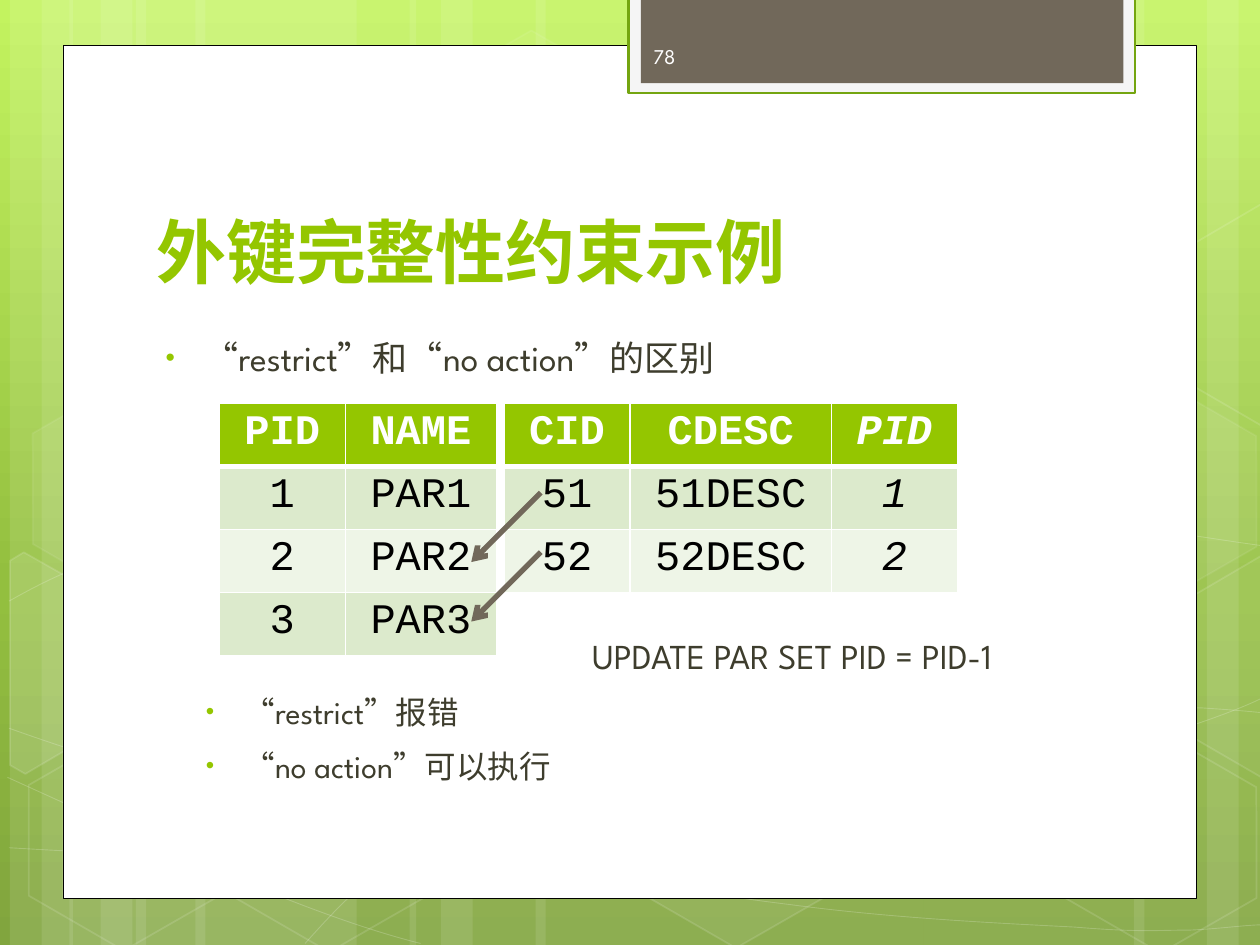
"""Build the slide on foreign key constraints."""
from copy import deepcopy
from dataclasses import dataclass
from math import cos, radians, sin

from lxml import etree
from pptx import Presentation
from pptx.dml.color import RGBColor
from pptx.enum.shapes import MSO_CONNECTOR, MSO_SHAPE
from pptx.enum.text import MSO_ANCHOR, PP_ALIGN
from pptx.oxml import parse_xml
from pptx.oxml.ns import nsdecls, qn
from pptx.util import Cm, Pt

RECT, HEX = MSO_SHAPE.RECTANGLE, MSO_SHAPE.HEXAGON
STRAIGHT = MSO_CONNECTOR.STRAIGHT
TOP, MIDDLE, BOTTOM = MSO_ANCHOR.TOP, MSO_ANCHOR.MIDDLE, MSO_ANCHOR.BOTTOM
CENTER = PP_ALIGN.CENTER


@dataclass(frozen=True)
class Theme:
    white: str = "FFFFFF"
    black: str = "000000"
    green: str = "94C600"
    edge: str = "74A510"
    slate: str = "71685A"
    pale: str = "F5F5F5"
    ink: str = "3E3D2D"
    page: str = "FEFEFE"
    bands: tuple = ("DCEACC", "EEF5E7")
    sky: tuple = ((0, "C3F35F"), (0.62, "93BF3F"), (1, "81A53E"))
    sans: str = "League Spartan"
    mono: str = "Courier New"
    title: int = 40
    cell: int = 24
    body: int = 20
    sub: int = 18
    small: int = 12


@dataclass
class Hexagon:
    left: float
    top: float
    fill: int
    line: int


@dataclass
class Line:
    text: str
    size: int
    color: str
    bold: bool = False
    indent: float = 0
    hang: float = 0
    gap: float = 0


@dataclass
class Label:
    box: tuple
    lines: tuple
    anchor: object = TOP


@dataclass
class Grid:
    left: float
    widths: tuple
    rows: tuple
    slant: int = -1


T = Theme()
HEXES = (
    Hexagon(8.48, 0.91, 4, 8), Hexagon(12.62, 14.96, 6, 12),
    Hexagon(0.28, 15.01, 0, 12), Hexagon(0.36, 7.92, 7, 8),
    Hexagon(4.42, 15.04, 0, 12), Hexagon(19.13, 11.51, 10, 12),
    Hexagon(21.18, 15.06, 0, 12), Hexagon(21.18, 7.98, 7, 8),
)
STRIPES = ((2.74, 4.45), (0.2, 1.27), (0.84, 2.11), (3.94, 4.45), (1.4, 1.27), (2.03, 2.11),
           (18.62, 4.45), (24.33, 1.27), (22.86, 2.11), (10.8, 7.82), (8.26, 1.27), (8.89, 2.11))
CURVES = (
    ((0.18, 17.09), (1.55, 17.17), (2.92, 17.25), (4.83, 17.22), (6.73, 17.2), (9.09, 17.15),
     (11.63, 16.89), (14.17, 16.64), (17.78, 16.15), (20.12, 15.67), (22.43, 15.19),
     (24.82, 14.43), (25.58, 14)),
    ((0.18, 12.12), (0.91, 11.71), (1.65, 11.33), (3.07, 10.95), (4.52, 10.57), (6.58, 10.01),
     (8.81, 9.83), (11.07, 9.65), (13.82, 9.63), (16.61, 9.83), (19.41, 10.03),
     (24.05, 10.82), (25.58, 11.02)),
    ((0.15, 15.67), (3.23, 17.07), (6.27, 18.47), (8.48, 19.02)),
    ((0.18, 14.68), (0.97, 14.96), (1.78, 15.24), (3.25, 15.65), (4.72, 16.03), (6.93, 16.66),
     (9.07, 17.09), (11.18, 17.53), (13.84, 17.98), (15.95, 18.24), (18.06, 18.52),
     (20.32, 18.62), (21.67, 18.69), (22.99, 18.8), (23.34, 18.75), (24, 18.75),
     (24.66, 18.72), (25.12, 18.64), (25.58, 18.64)),
    ((6.15, 19.02), (6.6, 18.52), (7.06, 18.01), (7.67, 17.55), (8.28, 17.09), (9.14, 16.59),
     (9.86, 16.23), (10.57, 15.88), (11, 15.72), (11.94, 15.47), (12.85, 15.21), (14.55, 14.86),
     (15.44, 14.68), (16.36, 14.5), (16.48, 14.5), (17.27, 14.45), (18.06, 14.38),
     (19.3, 14.3), (20.17, 14.27), (21.64, 14.25), (23.12, 14.27), (24.21, 14.27),
     (24.66, 14.3), (25.1, 14.33), (25.55, 14.38)),
)
LEFT = ((0.2, 11.3), (0.48, 11.13), (2.44, 12.24), (2.41, 14.48), (0.51, 15.6), (0.2, 15.42))
RIGHT = ((23.52, 12.32), (25.43, 11.2), (25.63, 11.33), (25.63, 15.57), (25.45, 15.67), (23.52, 14.55))
HIGH = tuple((x, y - 7.09) for x, y in RIGHT)
SHARDS = ((LEFT, (0.91, 13.59), 10), (RIGHT, (25.02, 13.21), 4), (HIGH, (25.02, 6.12), 0))
LABELS = (
    Label((2.9, 2.84, 19.5, 3.18), (Line("外键完整性约束示例", T.title, T.green, True),), BOTTOM),
    Label((2.88, 6.45, 18.82, 9.75), (
        Line("“restrict”和“no action”的区别", T.body, T.ink, False, 0.97, 0.76, 4),
        Line("UPDATE PAR SET PID = PID-1", T.body, T.ink, False, 8.81, 0, 140),
        Line("“restrict”报错", T.sub, T.ink, False, 1.78, 0.76, 4),
        Line("“no action”可以执行", T.sub, T.ink, False, 1.78, 0.76, 4))),
    Label((12.92, 0.62, 3.7, 1.02), (Line("78", T.small, T.page),), MIDDLE),
)
GRIDS = (
    Grid(4.42, (2.54, 3.05), (("PID", "NAME"), ("1", "PAR1"), ("2", "PAR2"), ("3", "PAR3"))),
    Grid(10.16, (2.54, 4.06, 2.54),
         (("CID", "CDESC", "PID"), ("51", "51DESC", "1"), ("52", "52DESC", "2")), 2),
)


def rgb(code: str) -> RGBColor:
    return RGBColor.from_string(code)


def fade(shape, where: str, pct: int) -> None:
    for tint in shape._element.spPr.xpath(where + "a:solidFill/a:srgbClr"):
        etree.SubElement(tint, qn("a:alpha"), val=str(pct * 1000))


def paint(shape, fill: str = "", line: str = "", width: float = 1,
          veil: int = 100, haze: int = 100) -> None:
    shape.shadow.inherit = False
    if fill and veil:
        shape.fill.solid()
        shape.fill.fore_color.rgb = rgb(fill)
        fade(shape, "./", veil)
    else:
        shape.fill.background()
    if line:
        shape.line.color.rgb = rgb(line)
        shape.line.width = Pt(width)
        fade(shape, "./a:ln/", haze)
    else:
        shape.line.fill.background()


def block(slide, box: tuple, kind=RECT):
    return slide.shapes.add_shape(kind, *map(Cm, box))


def outline(slide, points: tuple, close: bool):
    pen = slide.shapes.build_freeform(Cm(points[0][0]), Cm(points[0][1]))
    pen.add_line_segments([(Cm(x), Cm(y)) for x, y in points[1:]], close)
    return pen.convert_to_shape()


def curve(slide, knots: tuple):
    shape = outline(slide, knots, False)
    legs = shape._element.spPr.xpath(".//a:lnTo")
    for i in range(0, len(legs), 3):
        arc = etree.Element(qn("a:cubicBezTo"))
        legs[i].addprevious(arc)
        for leg in legs[i:i + 3]:
            arc.append(leg[0])
            leg.getparent().remove(leg)
    return shape


def shard(slide, points: tuple, mid: tuple, turn: int = 30):
    c, s = cos(radians(turn)), sin(radians(turn))
    flat = tuple((mid[0] + (x - mid[0]) * c + (y - mid[1]) * s,
                  mid[1] + (y - mid[1]) * c - (x - mid[0]) * s) for x, y in points)
    shape = outline(slide, flat, True)
    shape.rotation = turn
    return shape


def backdrop(slide) -> None:
    fill = slide.background.fill
    fill.gradient()
    fill.gradient_angle = 270
    first = fill.gradient_stops[0]._gs
    first.addnext(deepcopy(first))
    for stop, (spot, code) in zip(fill.gradient_stops, T.sky):
        stop.position = spot
        stop.color.rgb = rgb(code)
    for left, width in STRIPES:
        paint(block(slide, (left, 0, width, 19.05)), T.white, veil=10)
    for knots in CURVES:
        paint(curve(slide, knots), line=T.white, width=0.5, haze=20)
    for h in HEXES:
        shape = block(slide, (h.left, h.top, 4.45, 3.86), HEX)
        shape.adjustments[0] = 0.29
        shape.rotation = 30
        paint(shape, T.white, T.white, 1, h.fill, h.line)
    for points, mid, veil in SHARDS:
        paint(shard(slide, points, mid), T.white, T.white, 1, veil, 12)
    paint(block(slide, (1.27, 0.91, 22.86, 17.2)), T.white, T.black, 0.5)
    paint(block(slide, (12.67, -0.05, 10.21, 1.93)), T.pale, T.edge, 1.25)
    paint(block(slide, (12.92, -0.05, 9.73, 1.73)), T.slate)


def style(para, size: int, color: str, face: str, bold: bool = False, slant: bool = False) -> None:
    font = para.font
    font.size, font.name, font.bold, font.italic = Pt(size), face, bold, slant
    font.color.rgb = rgb(color)


def space(para, line: Line) -> None:
    para.line_spacing, para.space_before = 1.25, Pt(line.gap)
    props = para._p.get_or_add_pPr()
    props.set("marL", str(Cm(line.indent)))
    props.set("indent", str(Cm(-line.hang)))
    if line.hang:
        tint = etree.SubElement(props, qn("a:buClr"))
        etree.SubElement(tint, qn("a:srgbClr"), val=T.green)
        etree.SubElement(props, qn("a:buSzPct"), val="76000")
        etree.SubElement(props, qn("a:buFont"), typeface="Arial")
        etree.SubElement(props, qn("a:buChar"), char="•")


def write(slide, label: Label) -> None:
    frame = slide.shapes.add_textbox(*map(Cm, label.box)).text_frame
    frame.word_wrap, frame.vertical_anchor = True, label.anchor
    frame.text = "\n".join(line.text for line in label.lines)
    for para, line in zip(frame.paragraphs, label.lines):
        if line.indent:
            space(para, line)
        style(para, line.size, line.color, T.sans, line.bold)


def border(cell, head: bool) -> None:
    props = cell._tc.get_or_add_tcPr()
    for i, side in enumerate("LRTB"):
        width = Pt(3 if (head and side == "B") else 1)
        props.insert(i, parse_xml(
            f'<a:ln{side} {nsdecls("a")} w="{width}"><a:solidFill>'
            f'<a:srgbClr val="{T.white}"/></a:solidFill></a:ln{side}>'))


def tabulate(slide, grid: Grid) -> None:
    count = len(grid.rows)
    frame = slide.shapes.add_table(count, len(grid.widths), Cm(grid.left), Cm(8.13),
                                   Cm(sum(grid.widths)), Cm(1.27 * count))
    table = frame.table
    for col, width in zip(table.columns, grid.widths):
        col.width = Cm(width)
    for r, row in enumerate(grid.rows):
        table.rows[r].height = Cm(1.04)
        for c, text in enumerate(row):
            cell = table.cell(r, c)
            cell.text = text
            cell.fill.solid()
            cell.fill.fore_color.rgb = rgb(T.bands[(r - 1) % 2] if r else T.green)
            border(cell, r == 0)
            para = cell.text_frame.paragraphs[0]
            para.alignment = CENTER
            style(para, T.cell, T.black if r else T.white, T.mono, r == 0, c == grid.slant)
    frame.height = Cm(1.27 * count)


def arrow(slide, top: float) -> None:
    line = slide.shapes.add_connector(STRAIGHT, Cm(10.9), Cm(top), Cm(9.5), Cm(top + 1.4))
    line.line.color.rgb, line.line.width = rgb(T.slate), Pt(3)
    etree.SubElement(line.line._get_or_add_ln(), qn("a:tailEnd"), type="arrow")
    etree.SubElement(line._element.spPr, qn("a:effectLst"))


def main() -> None:
    deck = Presentation()
    deck.slide_width, deck.slide_height = Cm(25.4), Cm(19.05)
    slide = deck.slides.add_slide(deck.slide_layouts[6])
    backdrop(slide)
    for label in LABELS:
        write(slide, label)
    for grid in GRIDS:
        tabulate(slide, grid)
    for top in (9.93, 11.13):
        arrow(slide, top)
    deck.save("out.pptx")


main()
